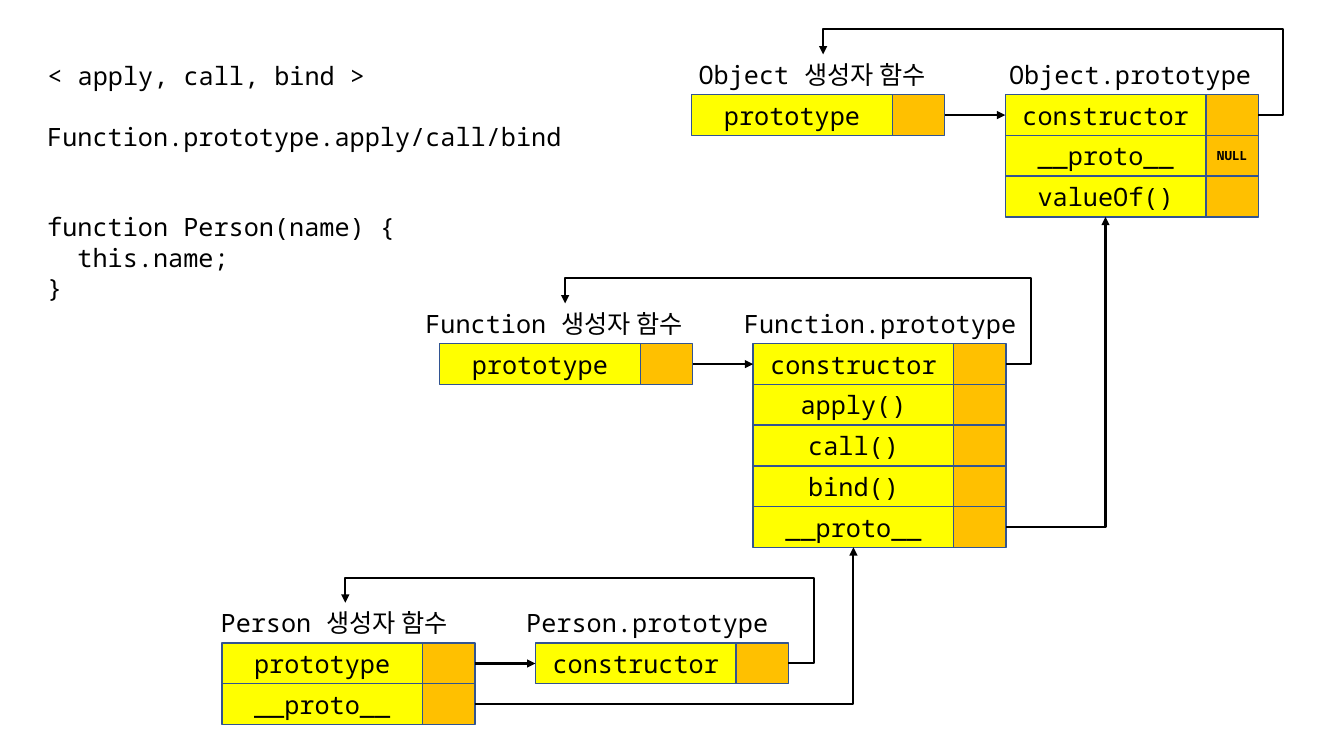
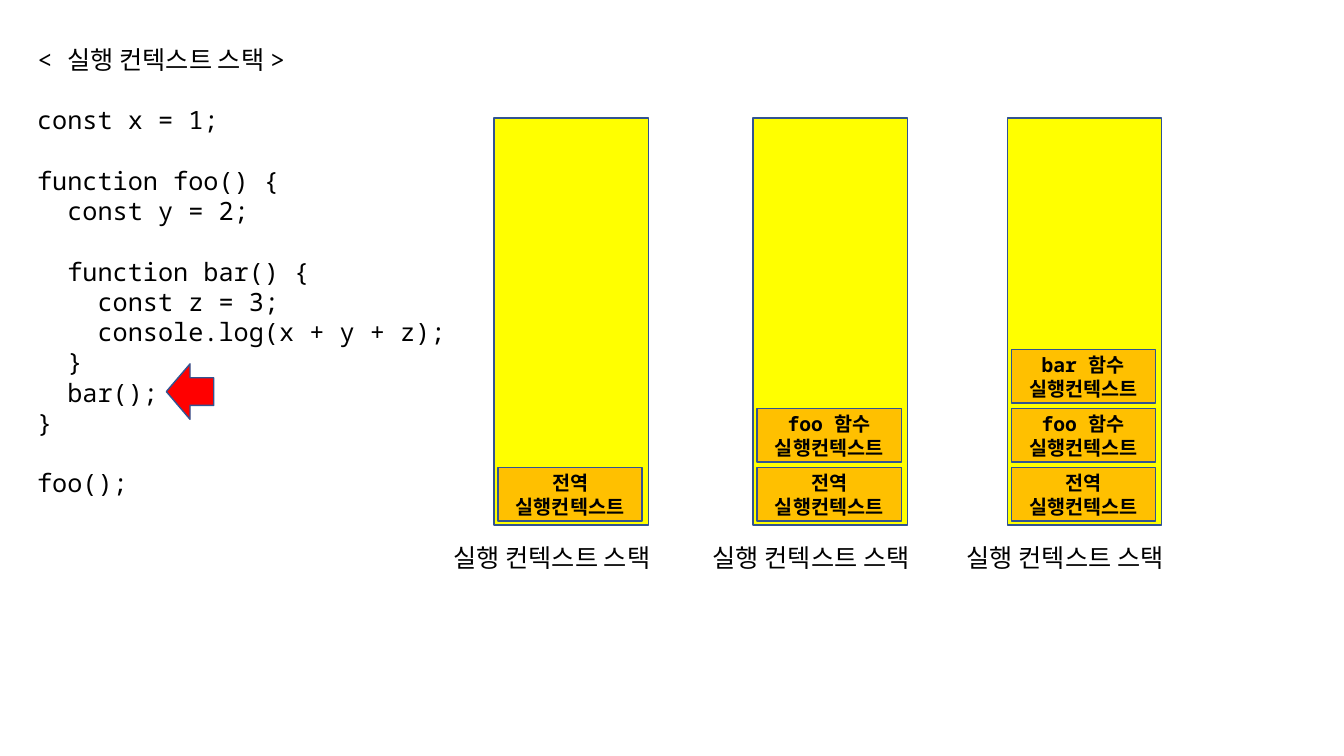
from dataclasses import dataclass

from lxml import etree
from pptx import Presentation
from pptx.dml.color import RGBColor
from pptx.enum.shapes import MSO_CONNECTOR, MSO_SHAPE
from pptx.enum.text import MSO_ANCHOR, MSO_AUTO_SIZE, PP_ALIGN
from pptx.oxml.ns import qn
from pptx.util import Inches, Pt

RECTANGLE, LEFT_ARROW = MSO_SHAPE.RECTANGLE, MSO_SHAPE.LEFT_ARROW
STRAIGHT, ELBOW = MSO_CONNECTOR.STRAIGHT, MSO_CONNECTOR.ELBOW
TOP_ANCHOR, MIDDLE_ANCHOR = MSO_ANCHOR.TOP, MSO_ANCHOR.MIDDLE
LEFT, CENTER = PP_ALIGN.LEFT, PP_ALIGN.CENTER
NO_AUTO_SIZE = MSO_AUTO_SIZE.NONE
TOP_SIDE, LEFT_SIDE, BOTTOM_SIDE, RIGHT_SIDE = range(4)

BLACK = RGBColor(0x00, 0x00, 0x00)
YELLOW = RGBColor(0xFF, 0xFF, 0x00)
ORANGE = RGBColor(0xFF, 0xC0, 0x00)
RED = RGBColor(0xFF, 0x00, 0x00)
OUTLINE = RGBColor(0x32, 0x54, 0x91)

FONT = "Noto Sans Mono"
CODE_FORMAT = {"name": FONT, "size": Pt(18), "bold": False}
FRAME_FORMAT = {"name": FONT, "size": Pt(14), "bold": True}
NULL_FORMAT = {"name": FONT, "size": Pt(9), "bold": True}
BLANK_LINE = Pt(21.6)

LABEL_HEIGHT = 0.4
ROW_HEIGHT = 2.02 / 5
NAME_WIDTH = 1.99
VALUE_WIDTH = 0.52
PROTOTYPE_OFFSET = 3.11
LOOP_MARGIN = 0.25

STACK_TOP, STACK_WIDTH, STACK_HEIGHT = 1.17, 1.53, 4.04
FRAME_WIDTH, FRAME_HEIGHT, FRAME_INSET = 1.43, 0.53, 0.04
FRAME_TOP, FRAME_PITCH = 4.64, 1.17 / 2


@dataclass(frozen=True)
class Line:
    text: str
    blanks_before: int = 0


@dataclass(frozen=True)
class Label:
    text: str
    left: float
    width: float


@dataclass(frozen=True)
class Row:
    name: str
    value: str = ""


@dataclass(frozen=True)
class Family:
    left: float
    top: float
    function_label: Label
    prototype_label: Label
    function_rows: tuple[Row, ...]
    prototype_rows: tuple[Row, ...]


@dataclass(frozen=True)
class Stack:
    left: float
    frames: tuple[str, ...]


PROTO = Row("__proto__")
PROTOTYPE = Row("prototype")
CONSTRUCTOR = Row("constructor")

FAMILIES = (
    Family(
        6.86, 0.94,
        Label("Object 생성자 함수", 6.83, 2.67),
        Label("Object.prototype", 9.91, 2.61),
        (PROTOTYPE,),
        (CONSTRUCTOR, Row("__proto__", "NULL"), Row("valueOf()")),
    ),
    Family(
        4.36, 3.41,
        Label("Function 생성자 함수", 4.12, 2.97),
        Label("Function.prototype", 7.28, 2.92),
        (PROTOTYPE,),
        (CONSTRUCTOR, Row("apply()"), Row("call()"), Row("bind()"), PROTO),
    ),
    Family(
        2.2, 6.38,
        Label("Person 생성자 함수", 2.09, 2.67),
        Label("Person.prototype", 5.12, 2.61),
        (PROTOTYPE, PROTO),
        (CONSTRUCTOR,),
    ),
)

PERSON_CODE = (
    Line("Function.prototype.apply/call/bind"),
    Line("function Person(name) {", 2),
    Line("  this.name;"),
    Line("}"),
)

CONTEXT_CODE = (
    Line("const x = 1;"),
    Line("function foo() {", 1),
    Line("  const y = 2;"),
    Line("  function bar() {", 1),
    Line("    const z = 3;"),
    Line("    console.log(x + y + z);"),
    Line("  }"),
    Line("  bar();"),
    Line("}"),
    Line("foo();", 1),
)

FRAMES = ("전역", "foo 함수", "bar 함수")
STACKS = (
    Stack(4.9, FRAMES[:1]),
    Stack(7.47, FRAMES[:2]),
    Stack(9.99, FRAMES),
)


def write_lines(shape, lines, formats: dict, align=LEFT, anchor=TOP_ANCHOR) -> None:
    frame = shape.text_frame
    settings = {"word_wrap": True, "auto_size": NO_AUTO_SIZE, "vertical_anchor": anchor}
    for key, value in settings.items():
        setattr(frame, key, value)
    for index, line in enumerate(lines):
        para = frame.paragraphs[0] if index == 0 else frame.add_paragraph()
        para.alignment = align
        if line.blanks_before:
            para.space_before = BLANK_LINE * line.blanks_before
        span = para.add_run()
        span.text = line.text
        for key, value in formats.items():
            setattr(span.font, key, value)
        span.font.color.rgb = BLACK


def add_page(deck, title: str, left: float, top: float, width: float, code):
    page = deck.slides.add_slide(deck.slide_layouts[5])
    heading = page.shapes.title
    bounds = {"left": left, "top": top, "width": width, "height": LABEL_HEIGHT}
    for key, value in bounds.items():
        setattr(heading, key, Inches(value))
    write_lines(heading, [Line(title)], CODE_FORMAT)
    line_count = sum(1 + line.blanks_before for line in code)
    add_text(page, code, left, top + 0.6, width, 0.1 + 0.3 * line_count)
    return page


def add_text(page, lines, left: float, top: float, width: float, height: float):
    box = page.shapes.add_textbox(Inches(left), Inches(top), Inches(width), Inches(height))
    write_lines(box, lines, CODE_FORMAT)
    return box


def add_label(page, label: Label, top: float):
    return add_text(page, [Line(label.text)], label.left, top, label.width, LABEL_HEIGHT)


def add_block(shapes, kind, fill: RGBColor, left: float, top: float, width: float, height: float):
    block = shapes.add_shape(kind, Inches(left), Inches(top), Inches(width), Inches(height))
    block.shadow.inherit = False
    block.fill.solid()
    block.fill.fore_color.rgb = fill
    block.line.color.rgb = OUTLINE
    block.line.width = Pt(1)
    return block


def add_rows(page, rows: tuple[Row, ...], left: float, top: float) -> list:
    cells = []
    for index, row in enumerate(rows):
        shapes = page.shapes.add_group_shape().shapes
        row_top = top + index * ROW_HEIGHT
        name = add_block(shapes, RECTANGLE, YELLOW, left, row_top, NAME_WIDTH, ROW_HEIGHT)
        write_lines(name, [Line(row.name)], CODE_FORMAT, CENTER, MIDDLE_ANCHOR)
        value = add_block(
            shapes, RECTANGLE, ORANGE, left + NAME_WIDTH, row_top, VALUE_WIDTH, ROW_HEIGHT
        )
        if row.value:
            write_lines(value, [Line(row.value)], NULL_FORMAT, CENTER, MIDDLE_ANCHOR)
        cells.append((name, value))
    return cells


def add_arrow(page, kind, start, target, target_side: int):
    arrow = page.shapes.add_connector(kind, 0, 0, 0, 0)
    arrow.begin_connect(start, RIGHT_SIDE)
    arrow.end_connect(target, target_side)
    arrow.line.color.rgb = BLACK
    arrow.line.width = Pt(1.5)
    etree.SubElement(arrow.line._get_or_add_ln(), qn("a:tailEnd"), type="triangle")
    etree.SubElement(arrow._element.spPr, qn("a:effectLst"))
    return arrow


def set_bends(arrow, preset: str, adjustments: tuple[float, ...] = ()) -> None:
    geometry = arrow._element.spPr.find(qn("a:prstGeom"))
    geometry.set("prst", preset)
    guides = geometry.find(qn("a:avLst"))
    if guides is None:
        guides = etree.SubElement(geometry, qn("a:avLst"))
    for number, ratio in enumerate(adjustments, 1):
        formula = f"val {round(ratio * 100000)}"
        etree.SubElement(guides, qn("a:gd"), name=f"adj{number}", fmla=formula)


def add_loop(page, start, label) -> None:
    arrow = add_arrow(page, ELBOW, start, label, TOP_SIDE)
    margin = Inches(LOOP_MARGIN)
    set_bends(arrow, "bentConnector4", (-margin / arrow.width, 1 + margin / arrow.height))


def add_corner(page, start, target) -> None:
    set_bends(add_arrow(page, ELBOW, start, target, BOTTOM_SIDE), "bentConnector2")


def add_family(page, family: Family) -> tuple[list, list]:
    label_top = family.top - LABEL_HEIGHT
    function_label = add_label(page, family.function_label, label_top)
    add_label(page, family.prototype_label, label_top)
    function_cells = add_rows(page, family.function_rows, family.left, family.top)
    prototype_cells = add_rows(
        page, family.prototype_rows, family.left + PROTOTYPE_OFFSET, family.top
    )
    prototype_name, constructor_value = prototype_cells[0]
    add_arrow(page, STRAIGHT, function_cells[0][1], prototype_name, LEFT_SIDE)
    add_loop(page, constructor_value, function_label)
    return function_cells, prototype_cells


def add_stack(page, stack: Stack) -> None:
    add_block(page.shapes, RECTANGLE, YELLOW, stack.left, STACK_TOP, STACK_WIDTH, STACK_HEIGHT)
    add_label(page, Label("실행 컨텍스트 스택", stack.left - 0.5, 2.52), 5.33)
    for index, name in enumerate(stack.frames):
        frame = add_block(
            page.shapes, RECTANGLE, ORANGE, stack.left + FRAME_INSET,
            FRAME_TOP - index * FRAME_PITCH, FRAME_WIDTH, FRAME_HEIGHT,
        )
        lines = [Line(name), Line("실행컨텍스트")]
        write_lines(frame, lines, FRAME_FORMAT, CENTER, MIDDLE_ANCHOR)


def build_prototype_page(deck) -> None:
    page = add_page(deck, "< apply, call, bind >", 0.37, 0.55, 5.5, PERSON_CODE)
    cells = [add_family(page, family) for family in FAMILIES]
    (_, object_prototype), (_, function_prototype), (person, _) = cells
    add_corner(page, person[-1][1], function_prototype[-1][0])
    add_corner(page, function_prototype[-1][1], object_prototype[-1][0])


def build_context_page(deck) -> None:
    page = add_page(deck, "< 실행 컨텍스트 스택 >", 0.27, 0.39, 4.4, CONTEXT_CODE)
    add_block(page.shapes, LEFT_ARROW, RED, 1.65, 3.61, 0.47, 0.55)
    for stack in STACKS:
        add_stack(page, stack)


def main() -> None:
    deck = Presentation()
    deck.slide_width = Inches(13.33)
    deck.slide_height = Inches(7.5)
    build_prototype_page(deck)
    build_context_page(deck)
    deck.save("out.pptx")


if __name__ == "__main__":
    main()
